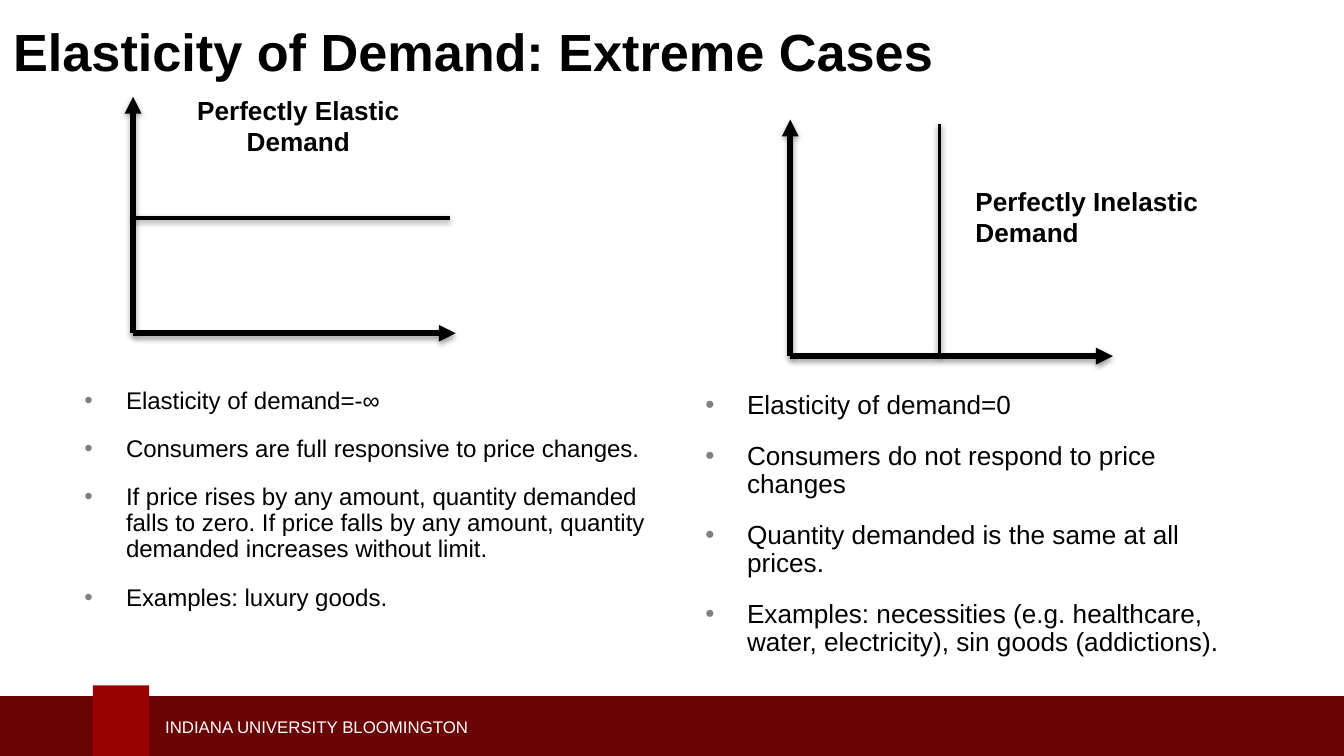
from dataclasses import dataclass

from lxml import etree
from pptx import Presentation
from pptx.dml.color import RGBColor
from pptx.enum.shapes import MSO_CONNECTOR, MSO_SHAPE
from pptx.enum.text import MSO_ANCHOR, PP_ALIGN
from pptx.oxml.ns import qn
from pptx.util import Emu, Pt

STRAIGHT = MSO_CONNECTOR.STRAIGHT
RECT = MSO_SHAPE.RECTANGLE
MIDDLE, TOP = MSO_ANCHOR.MIDDLE, MSO_ANCHOR.TOP
LEFT, CENTER = PP_ALIGN.LEFT, PP_ALIGN.CENTER

EMU_PER_PX = 9144  # 100 px to the inch
SLIDE_W = 1000


@dataclass(frozen=True)
class Theme:
    font: str = "Arial"
    ink: str = "000000"
    bullet: str = "808080"
    band: str = "690304"
    tab: str = "990000"
    footer_ink: str = "FFFFFF"
    title_size: float = 28
    body_size: float = 14
    dense_size: float = 12.9
    footer_size: float = 9
    axis_width: float = 3
    curve_width: float = 2
    gap: float = 6


THEME = Theme()

ELASTIC_POINTS = [
    "Elasticity of demand=-∞",
    "Consumers are full responsive to price changes.",
    "If price rises by any amount, quantity demanded falls to zero. "
    "If price falls by any amount, quantity demanded increases without limit.",
    "Examples: luxury goods.",
]
INELASTIC_POINTS = [
    "Elasticity of demand=0",
    "Consumers do not respond to price changes",
    "Quantity demanded is the same at all prices.",
    "Examples: necessities (e.g. healthcare, water, electricity), "
    "sin goods (addictions).",
]


def px(n):
    return Emu(n * EMU_PER_PX)


def add_band(s, box, color):
    sp = s.shapes.add_shape(RECT, *map(px, box))
    sp.shadow.inherit = False
    sp.fill.solid()
    sp.fill.fore_color.rgb = RGBColor.from_string(color)
    sp.line.fill.background()


def style_run(p, size, color, bold):
    font = p.runs[0].font
    font.name, font.size, font.bold = THEME.font, Pt(size), bold
    font.color.rgb = RGBColor.from_string(color)


def add_frame(s, box, anchor=TOP):
    tf = s.shapes.add_textbox(*map(px, box)).text_frame
    tf.word_wrap = True
    tf.vertical_anchor = anchor
    return tf


def add_text(s, box, text, size, color=THEME.ink, bold=True,
             anchor=TOP, align=LEFT):
    tf = add_frame(s, box, anchor)
    tf.text = text
    p = tf.paragraphs[0]
    p.alignment = align
    style_run(p, size, color, bold)


def set_bullet(p, indent):
    pPr = p._p.get_or_add_pPr()
    pPr.set("marL", str(px(indent)))
    pPr.set("indent", str(-px(indent)))
    color = etree.SubElement(pPr, qn("a:buClr"))
    etree.SubElement(color, qn("a:srgbClr"), val=THEME.bullet)
    etree.SubElement(pPr, qn("a:buFont"), typeface=THEME.font)
    etree.SubElement(pPr, qn("a:buChar"), char="•")


def add_bullets(s, box, points, size):
    tf = add_frame(s, box)
    for i, point in enumerate(points):
        p = tf.add_paragraph() if i else tf.paragraphs[0]
        p.text = point
        set_bullet(p, indent=31)
        p.line_spacing = 0.9
        p.space_before = Pt(THEME.gap if i else 0)
        p.space_after = Pt(THEME.gap)
        style_run(p, size, THEME.ink, False)


def add_soft_shadow(line):
    effects = etree.SubElement(line._element.spPr, qn("a:effectLst"))
    shadow = etree.SubElement(
        effects, qn("a:outerShdw"), blurRad=str(Pt(3.1)), dist=str(Pt(1.6)),
        dir="5400000", rotWithShape="0")
    color = etree.SubElement(shadow, qn("a:srgbClr"), val=THEME.ink)
    etree.SubElement(color, qn("a:alpha"), val="38000")


def add_line(s, start, end, width, arrow=False):
    line = s.shapes.add_connector(STRAIGHT, *map(px, start + end))
    line.line.width = Pt(width)
    line.line.color.rgb = RGBColor.from_string(THEME.ink)
    if arrow:
        etree.SubElement(line.line._get_or_add_ln(), qn("a:tailEnd"),
                         type="triangle")
    add_soft_shadow(line)


def add_graph(s, origin, curve_start, curve_end):
    """Draw price and quantity axes from origin, and the demand curve."""
    x, y = origin
    for tip in ((x, y - 176), (x + 240, y)):
        add_line(s, origin, tip, THEME.axis_width, arrow=True)
    add_line(s, curve_start, curve_end, THEME.curve_width)


def add_footer(s):
    add_band(s, (-3, 518, 1009, 50), THEME.band)
    add_band(s, (69, 510, 42, 58), THEME.tab)
    add_text(s, (113, 528, 395, 25), "INDIANA UNIVERSITY BLOOMINGTON",
             THEME.footer_size, THEME.footer_ink, bold=False, anchor=MIDDLE)


def main():
    prs = Presentation()
    prs.slide_width = px(SLIDE_W)
    prs.slide_height = prs.slide_width * 9 // 16
    s = prs.slides.add_slide(prs.slide_layouts[6])

    add_footer(s)
    add_text(s, (0, 0, SLIDE_W, 76), "Elasticity of Demand: Extreme Cases",
             THEME.title_size, anchor=MIDDLE)

    add_bullets(s, (53, 284, 440, 210), ELASTIC_POINTS, THEME.dense_size)
    add_graph(s, (99, 248), (99, 162), (335, 162))
    add_text(s, (114, 65, 216, 57), "Perfectly Elastic Demand",
             THEME.body_size, align=CENTER)

    add_bullets(s, (515, 287, 409, 230), INELASTIC_POINTS, THEME.body_size)
    add_graph(s, (588, 265), (699, 92), (699, 265))
    add_text(s, (716, 133, 216, 57), "Perfectly Inelastic Demand",
             THEME.body_size)

    prs.save("out.pptx")


if __name__ == "__main__":
    main()
